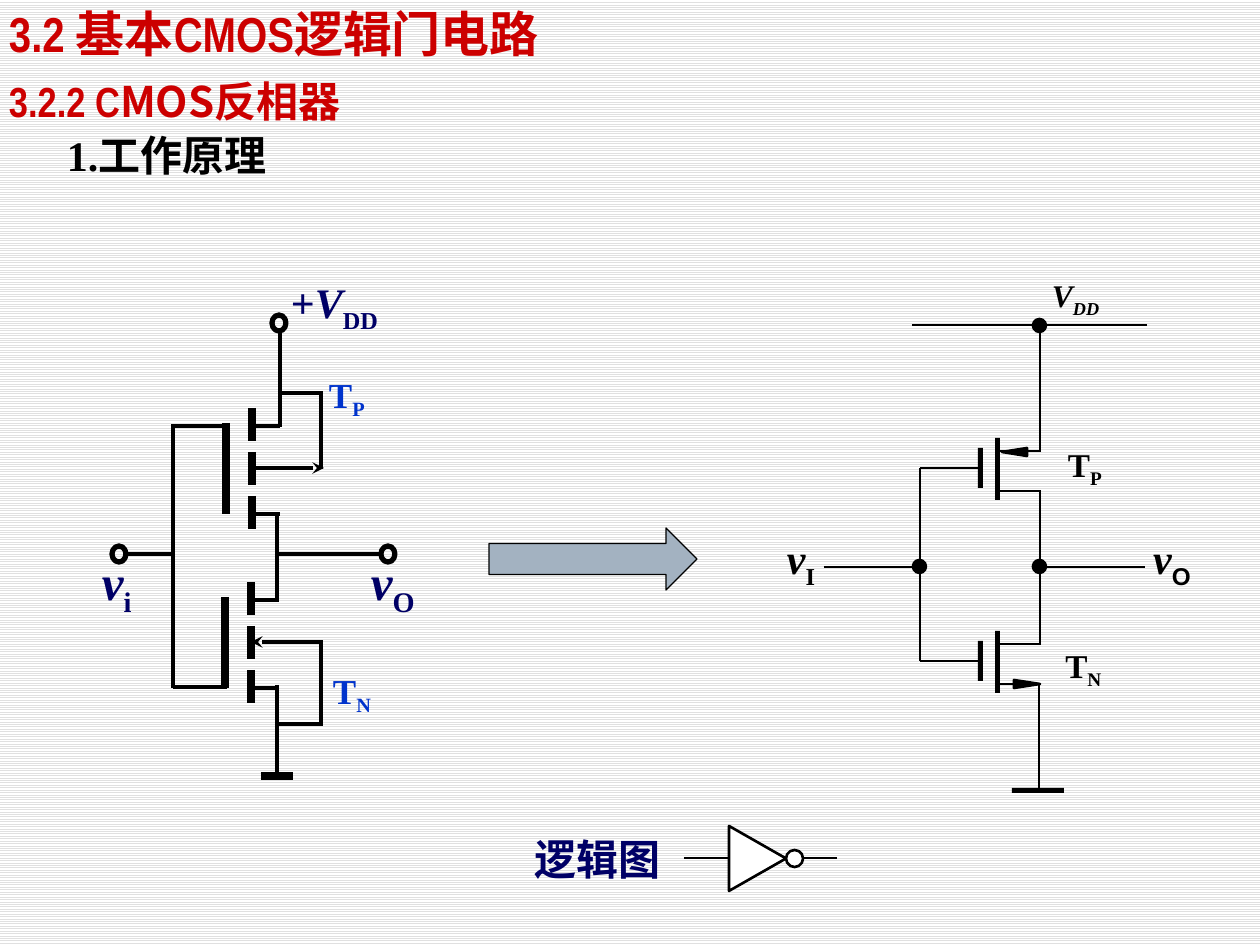
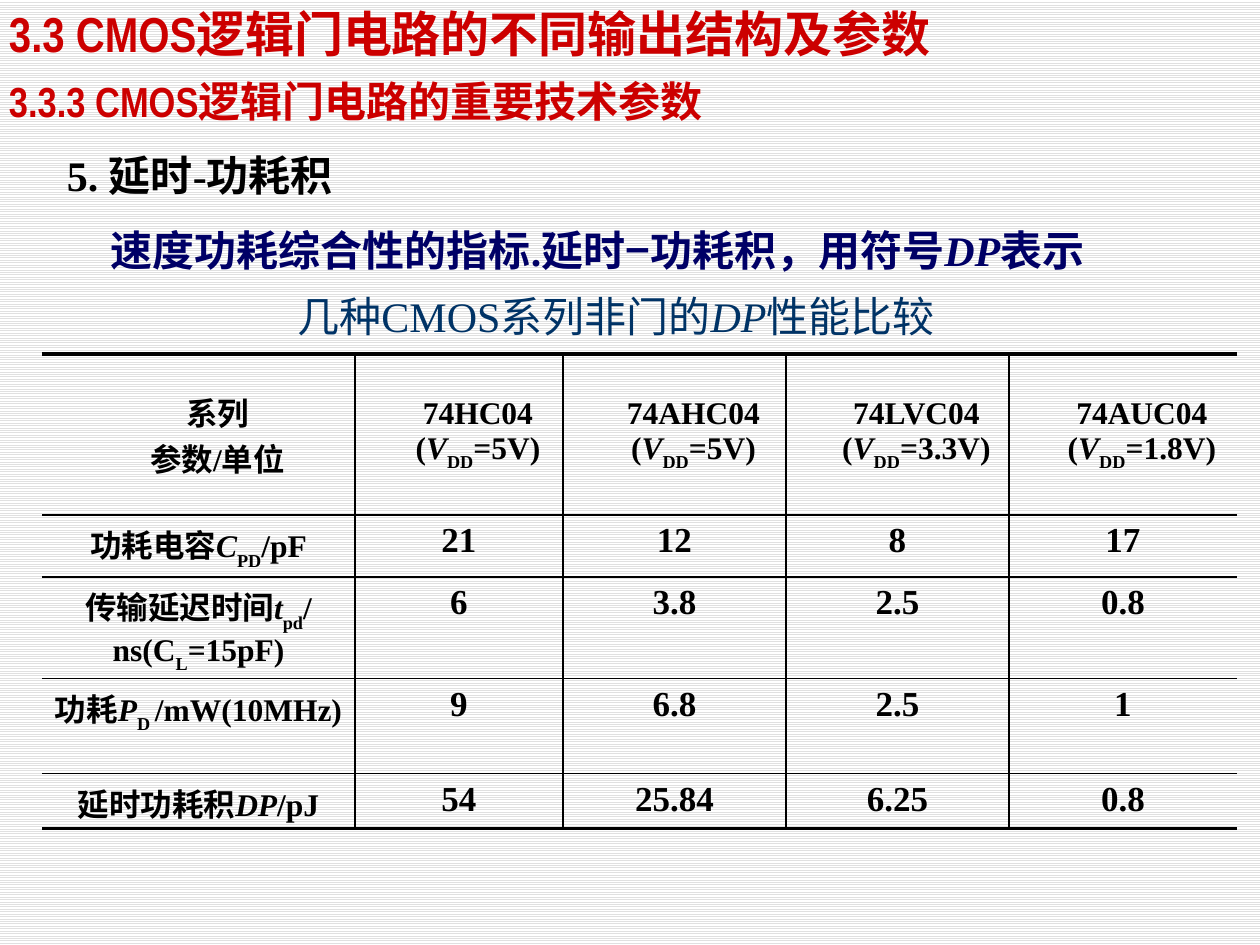
from dataclasses import dataclass

import pptx
import pptx.dml.color
import pptx.enum.dml
import pptx.enum.shapes
import pptx.enum.text
import pptx.oxml
import pptx.oxml.ns
import pptx.util

SHAPE = pptx.enum.shapes.MSO_SHAPE
ALIGN = pptx.enum.text.PP_ALIGN
ANCHOR = pptx.enum.text.MSO_ANCHOR
NS = pptx.oxml.ns.nsdecls("a")


@dataclass(frozen=True)
class Theme:
    """Colours, typefaces, type sizes and line widths of the deck."""
    red: str = "CC0000"
    navy: str = "000066"
    blue: str = "0033CC"
    teal: str = "003366"
    black: str = "000000"
    white: str = "FFFFFF"
    stripe: str = "E0E0E0"
    steel: str = "A3B2C1"
    serif: str = "Times New Roman"
    narrow: str = "Arial Narrow"
    sans: str = "Arial"
    cjk: str = "Noto Sans CJK SC"
    title: int = 28
    body: int = 24
    value: int = 20
    device: int = 19
    small: int = 18
    thin: float = 1.5
    wire: float = 2.25
    ring: float = 3
    bar: float = 4.5


THEME = Theme()


def px(length):
    """Turn px at 126 to the inch into EMU."""
    return pptx.util.Emu(round(length * 914400 / 126))


def rgb(color):
    """Return the RGB colour for a hex string."""
    return pptx.dml.color.RGBColor.from_string(color)


def add_runs(paragraph, runs, size, color, font=THEME.serif, bold=True, drop=-25):
    """Add (text, marks, font) runs; mark i is italic and s is subscript."""
    for entry in runs:
        text, marks, face = (*entry, "", "")[:3]
        run = paragraph.add_run()
        run.text = text
        run.font.size = pptx.util.Pt(size)
        run.font.bold = bold
        run.font.italic = "i" in marks
        run.font.color.rgb = rgb(color)
        run.font.name = face or font
        properties = run._r.get_or_add_rPr()
        properties.append(pptx.oxml.parse_xml(f'<a:ea {NS} typeface="{THEME.cjk}"/>'))
        if "s" in marks:
            properties.set("baseline", str(drop * 1000))


class Region:
    """A part of a slide whose members are placed from its top left corner."""

    def __init__(self, slide, left=0, top=0):
        self.shapes, self.left, self.top = slide.shapes, left, top

    def at(self, x, y):
        """Return a point of the region in EMU on the slide."""
        return px(self.left + x), px(self.top + y)

    def wire(self, x1, y1, x2, y2, width=THEME.wire, arrow=False):
        """Draw a straight black line, with an arrowhead at its end on request."""
        straight = pptx.enum.shapes.MSO_CONNECTOR.STRAIGHT
        line = self.shapes.add_connector(straight, *self.at(x1, y1), *self.at(x2, y2))
        line.line.color.rgb = rgb(THEME.black)
        line.line.width = pptx.util.Pt(width)
        if arrow:
            line.line._get_or_add_ln().append(pptx.oxml.parse_xml(f'<a:tailEnd {NS} type="stealth"/>'))
        line._element.spPr.append(pptx.oxml.parse_xml(f"<a:effectLst {NS}/>"))
        return line

    def block(self, kind, x, y, width, height, fill=None, line=None):
        """Draw a preset shape."""
        shape = self.shapes.add_shape(kind, *self.at(x, y), px(width), px(height))
        return self.paint(shape, fill, line)

    def wedge(self, *points):
        """Draw a filled black outline through the points."""
        start, *rest = [self.at(*point) for point in points]
        builder = self.shapes.build_freeform(*start)
        builder.add_line_segments(rest, close=True)
        return self.paint(builder.convert_to_shape(), THEME.black, THEME.thin)

    def paint(self, shape, fill, line):
        """Set the fill colour and black line width, leaving out what is None."""
        shape.shadow.inherit = False
        if fill:
            shape.fill.solid()
            shape.fill.fore_color.rgb = rgb(fill)
        else:
            shape.fill.background()
        if line:
            shape.line.color.rgb = rgb(THEME.black)
            shape.line.width = pptx.util.Pt(line)
        else:
            shape.line.fill.background()
        return shape

    def text(self, box, runs, size, color, inset=(13, 6), wrap=True, grow=True,
             align=ALIGN.LEFT, anchor=ANCHOR.TOP, spacing=None, **style):
        """Place a one-paragraph text box."""
        x, y, width, height = box
        frame = self.shapes.add_textbox(*self.at(x, y), px(width), px(height)).text_frame
        frame.word_wrap = wrap
        fit = pptx.enum.text.MSO_AUTO_SIZE
        frame.auto_size = fit.SHAPE_TO_FIT_TEXT if grow else fit.NONE
        frame.vertical_anchor = anchor
        frame.margin_left = frame.margin_right = px(inset[0])
        frame.margin_top = frame.margin_bottom = px(inset[1])
        paragraph = frame.paragraphs[0]
        paragraph.alignment = align
        if spacing:
            paragraph.line_spacing = spacing
        add_runs(paragraph, runs, size, color, **style)


def striped_slide(deck):
    """Add a blank slide with the striped background."""
    slide = deck.slides.add_slide(deck.slide_layouts[6])
    fill = slide.background.fill
    fill.patterned()
    fill.pattern = pptx.enum.dml.MSO_PATTERN.LIGHT_HORIZONTAL
    fill.fore_color.rgb = rgb(THEME.stripe)
    fill.back_color.rgb = rgb(THEME.white)
    return slide


def headings(slide, section, subsection, topic, topic_top):
    """Place the section, subsection and topic lines."""
    region = Region(slide, 6, 2)
    for top, height, runs, size in ((1, 62, section, THEME.title), (72, 54, subsection, THEME.body)):
        region.text((0, top, 1000, height), runs, size, THEME.red, inset=(3, 1), font=THEME.narrow)
    region.text((48, topic_top - 2, 329, 74), topic, THEME.body, THEME.black,
                grow=False, anchor=ANCHOR.BOTTOM)


def channel_mos(region, x, y):
    """Draw a gate bar, a three-part channel and its two leads."""
    region.wire(x - 26, y + 15, x - 26, y + 106, THEME.bar)
    for step in range(3):
        region.wire(x, y + 44 * step, x, y + 44 * step + 33, THEME.bar)
    for lead in (18, 106):
        region.wire(x, y + lead, x + 28, y + lead)


def detailed_inverter(slide, left, top):
    """Draw the inverter with full transistor symbols."""
    region = Region(slide, left, top)
    channel_mos(region, 162, 138)
    channel_mos(region, 161, 312)
    for ends in (
        (190, 157, 190, 61), (190, 123, 233, 123), (231, 199, 231, 122),
        (187, 331, 187, 243), (187, 415, 187, 506), (186, 454, 233, 454), (231, 454, 231, 370),
        (134, 156, 81, 156), (83, 156, 83, 418), (137, 417, 83, 417),
        (85, 284, 36, 284), (188, 284, 292, 284),
    ):
        region.wire(*ends)
    region.wire(165, 198, 234, 198, arrow=True)
    region.wire(231, 372, 161, 372, arrow=True)
    region.wire(171, 506, 203, 506, THEME.bar)
    for x, y in ((22, 276), (182, 45), (291, 276)):
        region.block(SHAPE.OVAL, x, y, 14, 16, line=THEME.ring)
    region.text((188, 1, 126, 63), [("+",), ("V", "i"), ("DD", "s")], THEME.body, THEME.navy)
    for x, name in ((-1, "i"), (268, "O")):
        region.text((x, 275, 78, 72), [("v", "i"), (name, "s")], THEME.title, THEME.navy)
    for x, y, name in ((239, 103, "P"), (243, 399, "N")):
        region.text((x, y, 74, 43), [("T",), (name, "s")], THEME.value, THEME.blue, inset=(0, 0))


def compact_mos(region, x, y, gate_x):
    """Draw a two-bar transistor and join the gate lead to its gate bar."""
    region.block(SHAPE.RECTANGLE, x, y, 5, 62, THEME.black)
    gate = region.block(SHAPE.RECTANGLE, x - 17, y + 10, 5, 40, THEME.black)
    lead = region.wire(gate_x, y + 30, x - 17, y + 30, THEME.thin)
    lead.end_connect(gate, 1)
    for level in (13, 53):
        region.wire(x + 4, y + level, x + 46, y + level, THEME.thin)


def compact_inverter(slide, left, top):
    """Draw the inverter with simplified transistor symbols."""
    region = Region(slide, left, top)
    compact_mos(region, 209, 162, 134)
    compact_mos(region, 209, 355, 134)
    for ends in (
        (126, 49, 361, 49), (254, 49, 254, 175), (254, 215, 254, 368), (253, 408, 253, 514),
        (134, 192, 134, 385), (38, 291, 134, 291), (256, 291, 359, 291),
    ):
        region.wire(*ends, THEME.thin)
    region.wedge((241, 180), (241, 172), (216, 176))
    region.wedge((228, 412), (228, 404), (254, 408))
    region.block(SHAPE.RECTANGLE, 226, 512, 52, 5, THEME.black)
    for x, y in ((127, 284), (247, 284), (247, 43)):
        region.block(SHAPE.OVAL, x, y, 13, 13, THEME.black, THEME.thin)
    blank = (" ", "", THEME.sans)
    for box, runs, size in (
        ((262, 0, 60, 38), [("V", "i"), ("DD ", "is")], THEME.small),
        ((281, 168, 45, 40), [("T",), ("P", "s"), blank], THEME.device),
        ((278, 369, 48, 40), [("T",), ("N", "s"), blank], THEME.device),
        ((366, 257, 40, 50), [("v", "i"), ("O", "s", THEME.sans)], THEME.body),
        ((-3, 257, 42, 50), [("v", "i"), ("I ", "s")], THEME.body),
    ):
        region.text(box, runs, size, THEME.black, inset=(0, 0), wrap=False, align=ALIGN.CENTER)


def logic_symbol(slide, left, top):
    """Draw the caption and the inverter symbol."""
    region = Region(slide, left, top)
    region.wire(152, 33, 305, 33, THEME.thin)
    triangle = region.block(SHAPE.ISOSCELES_TRIANGLE, 193, 5, 65, 57, THEME.white, THEME.thin)
    triangle.rotation = 90
    region.block(SHAPE.OVAL, 254, 25, 17, 17, THEME.white, THEME.thin)
    region.text((0, 8, 132, 54), [("逻辑图",)], THEME.body, THEME.navy, inset=(3, 1), wrap=False)


def border(cell, side, width):
    """Set one border of a cell; width 0 hides it."""
    fill = f'<a:solidFill><a:srgbClr val="{THEME.black}"/></a:solidFill>' if width else "<a:noFill/>"
    cell._tc.get_or_add_tcPr().append(pptx.oxml.parse_xml(
        f'<a:ln{side} {NS} w="{width * 12700}">{fill}</a:ln{side}>'))


def comparison_table(slide, left, top):
    """Place the table that compares the inverter series."""
    series = (("74HC04", "5"), ("74AHC04", "5"), ("74LVC04", "3.3"), ("74AUC04", "1.8"))
    header = [[[("系列",)], [("参数/单位",)]]]
    header += [[[(name,)], [("(",), ("V", "i"), ("DD", "s"), (f"={volts}V)",)]] for name, volts in series]
    measures = (
        ([("功耗电容",), ("C", "i"), ("PD", "s"), ("/pF",)], "21 12 8 17"),
        ([("传输延迟时间",), ("t", "i"), ("pd", "s"), ("/ns(C",), ("L", "s"), ("=15pF)",)], "6 3.8 2.5 0.8"),
        ([("功耗",), ("P", "i"), ("D ", "s"), ("/mW(10MHz)",)], "9 6.8 2.5 1"),
        ([("延时功耗积",), ("DP", "i"), ("/pJ",)], "54 25.84 6.25 0.8"),
    )
    rows = [header] + [[[label]] + [[[(value,)]] for value in values.split()] for label, values in measures]
    widths, heights = (313, 208, 223, 223, 228), (161, 62, 88, 66, 55)
    table = slide.shapes.add_table(len(rows), len(widths), px(left), px(top),
                                   px(sum(widths)), px(sum(heights))).table
    table.first_row = table.horz_banding = False
    for column, width in zip(table.columns, widths):
        column.width = px(width)
    for row, height in zip(table.rows, heights):
        row.height = px(height)
    last_row, last_column = len(rows) - 1, len(widths) - 1
    for r, row in enumerate(rows):
        for c, lines in enumerate(row):
            cell = table.cell(r, c)
            border(cell, "L", int(c > 0))
            border(cell, "R", int(c < last_column))
            border(cell, "T", 1 if r else 2)
            border(cell, "B", 2 if r == last_row else 1)
            cell.fill.background()
            cell.vertical_anchor = ANCHOR.TOP if r else ANCHOR.MIDDLE
            size = THEME.value if r and c else THEME.small
            for number, runs in enumerate(lines):
                frame = cell.text_frame
                paragraph = frame.add_paragraph() if number else frame.paragraphs[0]
                paragraph.alignment = ALIGN.CENTER
                if r == 0:
                    paragraph._p.get_or_add_pPr().set("indent", str(px(38)))
                add_runs(paragraph, runs, size, THEME.black, drop=-30)


def inverter_slide(deck):
    """Build the slide on how the inverter works."""
    slide = striped_slide(deck)
    headings(slide, [("3.2 基本CMOS逻辑门电路",)],
             [("3.2.2 C",), ("MOS反相器", "", THEME.cjk)], [("1.工作原理",)], 112)
    detailed_inverter(slide, 90, 270)
    compact_inverter(slide, 786, 276)
    Region(slide).block(SHAPE.RIGHT_ARROW, 489, 528, 208, 62, THEME.steel, 0.75)
    logic_symbol(slide, 532, 825)


def delay_power_slide(deck):
    """Build the slide on the delay-power product."""
    slide = striped_slide(deck)
    Region(slide).text((246, 284, 740, 63), [("几种CMOS系列非门的",), ("DP", "i"), ("性能比较",)],
                       THEME.body, THEME.teal, bold=False, align=ALIGN.CENTER, anchor=ANCHOR.MIDDLE)
    comparison_table(slide, 42, 354)
    headings(slide, [("3.3 CMOS逻辑门电路的不同输出结构及参数",)],
             [("3.3.3 CMOS逻辑门电路的重要技术参数",)], [("5. 延时-功耗积",)], 132)
    Region(slide).text((108, 205, 1016, 72),
                       [("速度功耗综合性的指标.延时−功耗积，用符号",), ("DP", "i"), ("表示",)],
                       THEME.body, THEME.navy, inset=(3, 1), anchor=ANCHOR.MIDDLE, spacing=1.35)


def main():
    """Build and save the deck."""
    deck = pptx.Presentation()
    deck.slide_width, deck.slide_height = px(1260), px(945)
    inverter_slide(deck)
    delay_power_slide(deck)
    deck.save("out.pptx")


if __name__ == "__main__":
    main()
